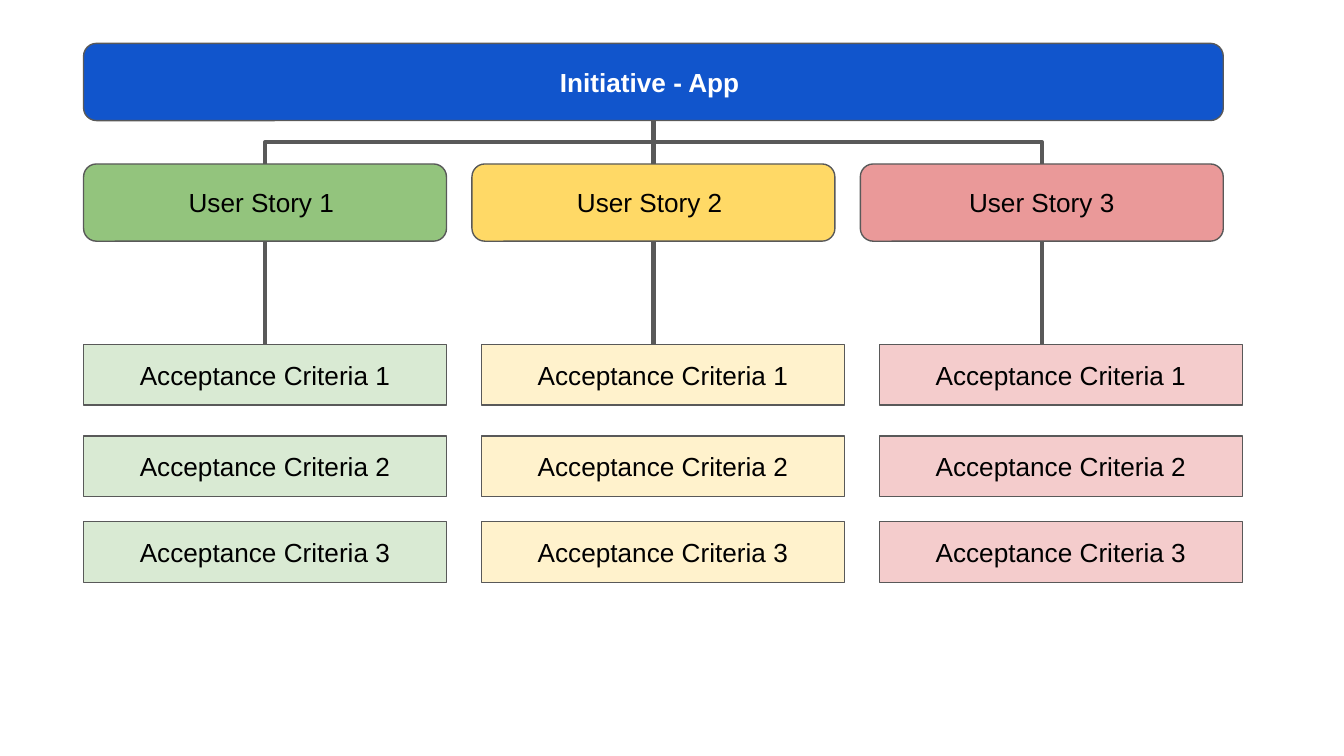
"""Build a slide that breaks an initiative into user stories and acceptance criteria."""
from dataclasses import dataclass

from lxml.etree import SubElement
from pptx import Presentation
from pptx.dml.color import RGBColor
from pptx.enum.shapes import MSO_CONNECTOR, MSO_SHAPE
from pptx.enum.text import MSO_ANCHOR, PP_ALIGN
from pptx.oxml.ns import qn
from pptx.shapes.autoshape import Shape
from pptx.shapes.connector import Connector
from pptx.slide import Slide
from pptx.util import Cm, Pt


@dataclass(frozen=True)
class Theme:
    font: str = "Arial"
    size: Pt = Pt(14)
    dark_text: str = "000000"
    light_text: str = "FFFFFF"
    initiative: str = "1155CC"
    outline: str = "595959"
    outline_width: Pt = Pt(0.75)
    branch_width: Pt = Pt(2.25)
    inset: Cm = Cm(0.25)


@dataclass(frozen=True)
class Story:
    label: str
    color: str
    criteria_color: str


@dataclass(frozen=True)
class Box:
    label: str
    left: Cm
    top: Cm
    width: Cm
    height: Cm
    color: str
    rounded: bool = True
    heading: bool = False


THEME = Theme()
STORIES = (
    Story("User Story 1 ", "93C47D", "D9EAD3"),
    Story("User Story 2 ", "FFD966", "FFF2CC"),
    Story("User Story 3", "EA9999", "F4CCCC"),
)
CRITERIA_TOPS = (Cm(6.51), Cm(8.24), Cm(9.86))
MARGIN = Cm(1.58)
COLUMN_WIDTH = Cm(6.86)
STORY_PITCH = Cm(7.34)
CRITERIA_PITCH = Cm(7.52)
INITIATIVE_TOP = Cm(0.82)
STORY_TOP = Cm(3.1)
STORY_HEIGHT = Cm(1.46)
CRITERION_HEIGHT = Cm(1.15)
BOTTOM_SITE, TOP_SITE = 2, 0


def draw_box(slide: Slide, box: Box) -> Shape:
    """Draw an outlined box with a centred label."""
    outline = MSO_SHAPE.ROUNDED_RECTANGLE if box.rounded else MSO_SHAPE.RECTANGLE
    card = slide.shapes.add_shape(outline, box.left, box.top, box.width, box.height)
    card.shadow.inherit = False
    card.fill.solid()
    card.fill.fore_color.rgb = RGBColor.from_string(box.color)
    card.line.color.rgb = RGBColor.from_string(THEME.outline)
    card.line.width = THEME.outline_width
    frame = card.text_frame
    frame.text = box.label
    frame.word_wrap = True
    frame.vertical_anchor = MSO_ANCHOR.MIDDLE
    frame.margin_left = frame.margin_right = THEME.inset
    frame.margin_top = frame.margin_bottom = THEME.inset
    label = frame.paragraphs[0]
    label.alignment = PP_ALIGN.CENTER
    font = label.runs[0].font
    font.name = THEME.font
    font.size = THEME.size
    font.bold = box.heading
    font.color.rgb = RGBColor.from_string(
        THEME.light_text if box.heading else THEME.dark_text
    )
    return card


def draw_branch(
    slide: Slide, kind: MSO_CONNECTOR, x: int, top: int, end_x: int, bottom: int
) -> Connector:
    """Draw a plain branch line between two points."""
    branch = slide.shapes.add_connector(kind, x, top, end_x, bottom)
    branch.line.color.rgb = RGBColor.from_string(THEME.outline)
    branch.line.width = THEME.branch_width
    SubElement(branch.element.spPr, qn("a:effectLst"))
    return branch


def link_story(slide: Slide, initiative: Shape, story: Shape) -> None:
    """Join the initiative to a story, bending halfway down for the outer stories."""
    start_x = initiative.left + initiative.width // 2
    end_x = story.left + story.width // 2
    top = initiative.top + initiative.height
    drop, reach = story.top - top, abs(end_x - start_x)
    straight = reach < Cm(0.1)
    kind = MSO_CONNECTOR.STRAIGHT if straight else MSO_CONNECTOR.ELBOW
    branch = draw_branch(slide, kind, start_x, top, end_x, story.top)
    branch.begin_connect(initiative, BOTTOM_SITE)
    branch.end_connect(story, TOP_SITE)
    if straight:
        return
    branch.left = (start_x + end_x - drop) // 2
    branch.top = top + (drop - reach) // 2
    branch.width, branch.height = drop, reach
    rightward = end_x > start_x
    placement = branch.element.spPr.find(qn("a:xfrm"))
    placement.set("rot", str((270 if rightward else 90) * 60000))
    placement.set("flipH", "1" if rightward else "0")


def draw_story(slide: Slide, initiative: Shape, column: int, story: Story) -> None:
    """Draw one story, its branches and its acceptance criteria."""
    heading = draw_box(
        slide,
        Box(story.label, MARGIN + column * STORY_PITCH, STORY_TOP,
            COLUMN_WIDTH, STORY_HEIGHT, story.color),
    )
    link_story(slide, initiative, heading)
    center = heading.left + heading.width // 2
    stem = draw_branch(
        slide, MSO_CONNECTOR.STRAIGHT,
        center, STORY_TOP + STORY_HEIGHT, center, CRITERIA_TOPS[0],
    )
    stem.begin_connect(heading, BOTTOM_SITE)
    for number, top in enumerate(CRITERIA_TOPS, start=1):
        draw_box(
            slide,
            Box(f"Acceptance Criteria {number}", MARGIN + column * CRITERIA_PITCH, top,
                COLUMN_WIDTH, CRITERION_HEIGHT, story.criteria_color, rounded=False),
        )


def main() -> None:
    """Assemble and save the presentation."""
    deck = Presentation()
    deck.slide_width, deck.slide_height = Cm(25.4), Cm(14.29)
    slide = deck.slides.add_slide(deck.slide_layouts.get_by_name("Blank"))
    full_width = (len(STORIES) - 1) * STORY_PITCH + COLUMN_WIDTH
    initiative = draw_box(
        slide,
        Box("Initiative - App ", MARGIN, INITIATIVE_TOP, full_width, STORY_HEIGHT,
            THEME.initiative, heading=True),
    )
    for column, story in enumerate(STORIES):
        draw_story(slide, initiative, column, story)
    deck.save("out.pptx")


if __name__ == "__main__":
    main()
